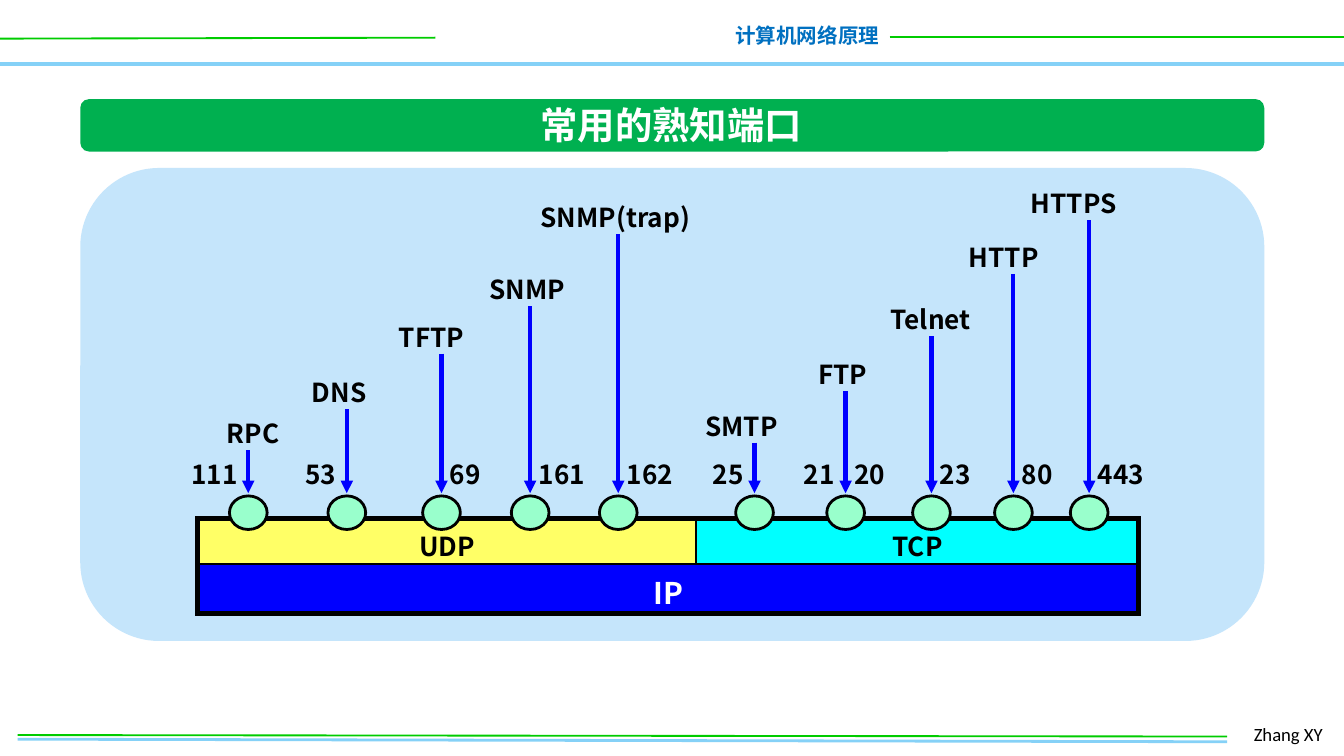
"""Build the slide of well-known ports above the UDP, TCP and IP layers."""
from collections import namedtuple

from lxml import etree
from pptx import Presentation
from pptx import util as u
from pptx.dml import color
from pptx.enum import shapes, text
from pptx.oxml import ns

Pt = u.Pt
COLORS = {
    "black": "000000", "white": "FFFFFF", "blue": "0000FF", "sky": "85D1F7",
    "lime": "00CC00", "header": "0070C0", "banner": "00B050", "panel": "C5E5FB",
    "mint": "99FFCC", "yellow": "FFFF66", "cyan": "00FFFF",
}
RGB = {name: color.RGBColor.from_string(value) for name, value in COLORS.items()}
CJK = "Noto Sans CJK SC"
LEFT, CENTER, RIGHT = text.PP_ALIGN.LEFT, text.PP_ALIGN.CENTER, text.PP_ALIGN.RIGHT
Style = namedtuple("Style", "font ink align wrap")
STYLES = {
    "header": Style({"size": Pt(11), "name": CJK, "bold": True}, "header", RIGHT, False),
    "title": Style({"size": Pt(20), "name": "Calibri", "bold": True}, "white", CENTER, False),
    "author": Style({"size": Pt(10), "name": "Calibri", "bold": False}, "black", LEFT, True),
    "label": Style({"size": Pt(14), "name": CJK, "bold": True}, "black", LEFT, True),
    "layer": Style({"size": Pt(14), "name": CJK, "bold": True}, "black", CENTER, True),
    "base": Style({"size": Pt(16), "name": CJK, "bold": True}, "white", CENTER, True),
}

PAGE_WIDTH, PAGE_HEIGHT = 720, 405
PANEL_LEFT, PANEL_WIDTH = 43, 634.3
TABLE_LEFT, TABLE_TOP = 106, 278
COLUMN_WIDTHS, ROW_HEIGHTS = (267, 237), (24, 26.5)
OUTER_BORDER, INNER_BORDER = 3, 1.5
CIRCLE_WIDTH, CIRCLE_HEIGHT = 20.2, 18
CIRCLE_TOP = TABLE_TOP - 12.3
ARROW_TIP = CIRCLE_TOP - 1.5
LABEL_HEIGHT, LABEL_TO_ARROW = 24.5, 21
NUMBER_TOP, NUMBER_WIDTH, DIGIT_WIDTH = 241.9, 50, 8.2

Port = namedtuple("Port", "name center label_left label_top before after")
PORTS = [
    Port("RPC", 133, 114.5, 220.3, "111", ""),
    Port("DNS", 185.8, 160, 198.3, "53", ""),
    Port("TFTP", 236.5, 206.6, 168.5, "", "69"),
    Port("SNMP", 284, 255.2, 143, "", "161"),
    Port("SNMP(trap)", 331.2, 282.5, 104.6, "", "162"),
    Port("SMTP", 404.2, 370.8, 216.2, "25", ""),
    Port("FTP", 453, 431.3, 188.5, "21", "20"),
    Port("Telnet", 499, 470, 159.2, "", "23"),
    Port("HTTP", 542.9, 511.9, 125.8, "", "80"),
    Port("HTTPS", 583.5, 545, 97, "", "443"),
]


def write(frame, words, style_name):
    style = STYLES[style_name]
    frame.word_wrap = style.wrap
    para = frame.paragraphs[0]
    para.alignment = style.align
    span = para.add_run()
    span.text = words
    for key, value in style.font.items():
        setattr(span.font, key, value)
    span.font.color.rgb = RGB[style.ink]
    etree.SubElement(span.font._element, ns.qn("a:ea"), typeface=CJK)


def draw_line(start, end, ink, width):
    points = [Pt(value) for value in (*start, *end)]
    line = page.shapes.add_connector(shapes.MSO_CONNECTOR.STRAIGHT, *points)
    line.line.color.rgb = RGB[ink]
    line.line.width = Pt(width)
    etree.SubElement(line._element.spPr, ns.qn("a:effectLst"))
    return line


deck = Presentation()
deck.slide_width, deck.slide_height = Pt(PAGE_WIDTH), Pt(PAGE_HEIGHT)
page = deck.slides.add_slide(deck.slide_layouts[6])

for start, end, ink, width in [
    ((0, 34.3), (PAGE_WIDTH, 34.3), "sky", 2),
    ((0, 20.7), (233.3, 20.2), "lime", 1),
    ((476.6, 19.7), (PAGE_WIDTH, 19.7), "lime", 1),
    ((9.4, 396), (657.4, 397.4), "sky", 1.5),
    ((9.4, 393.8), (657.4, 394.6), "lime", 1),
]:
    draw_line(start, end, ink, width)

for top, height, fill in [(53.1, 28.1, "banner"), (90, 253.4, "panel")]:
    panel = page.shapes.add_shape(
        shapes.MSO_SHAPE.ROUNDED_RECTANGLE,
        Pt(PANEL_LEFT), Pt(top), Pt(PANEL_WIDTH), Pt(height))
    panel.shadow.inherit = False
    panel.fill.solid()
    panel.fill.fore_color.rgb = RGB[fill]
    panel.line.fill.background()

table = page.shapes.add_table(
    2, 2, Pt(TABLE_LEFT), Pt(TABLE_TOP),
    Pt(sum(COLUMN_WIDTHS)), Pt(sum(ROW_HEIGHTS))).table
table.first_row = table.horz_banding = False
for column, width in zip(table.columns, COLUMN_WIDTHS):
    column.width = Pt(width)
for row, height in zip(table.rows, ROW_HEIGHTS):
    row.height = Pt(height)
table.cell(1, 0).merge(table.cell(1, 1))

for row, column, words, style_name, fill in [
    (0, 0, "UDP", "layer", "yellow"),
    (0, 1, "TCP", "layer", "cyan"),
    (1, 0, "IP", "base", "blue"),
]:
    cell = table.cell(row, column)
    write(cell.text_frame, words, style_name)
    cell.fill.solid()
    cell.fill.fore_color.rgb = RGB[fill]
    outer_sides = {
        "L": column == 0,
        "R": column == 1 or cell.is_merge_origin,
        "T": row == 0,
        "B": row == 1,
    }
    properties = cell._tc.get_or_add_tcPr()
    for index, (side, is_outer) in enumerate(outer_sides.items()):
        width = OUTER_BORDER if is_outer else INNER_BORDER
        edge = etree.Element(ns.qn(f"a:ln{side}"), w=str(Pt(width)))
        paint = etree.SubElement(edge, ns.qn("a:solidFill"))
        etree.SubElement(paint, ns.qn("a:srgbClr"), val=COLORS["black"])
        properties.insert(index, edge)
for cell in table.iter_cells():
    cell.margin_left = cell.margin_right = Pt(7.9)
    cell.margin_top, cell.margin_bottom = Pt(3.6), Pt(0)

captions = [
    ("计算机网络原理", "header", 386, 8.6, 92.2, 20.9),
    ("Zhang XY", "author", 664.6, 383.8, 53.3, 19.4),
    ("常用的熟知端口", "title", 281.5, 51.1, 156.2, 31.7),
]
for port in PORTS:
    circle = page.shapes.add_shape(
        shapes.MSO_SHAPE.OVAL, Pt(port.center - CIRCLE_WIDTH / 2), Pt(CIRCLE_TOP),
        Pt(CIRCLE_WIDTH), Pt(CIRCLE_HEIGHT))
    circle.shadow.inherit = False
    circle.fill.solid()
    circle.fill.fore_color.rgb = RGB["mint"]
    circle.line.color.rgb = RGB["black"]
    circle.line.width = Pt(1.5)

    arrow_top = port.label_top + LABEL_TO_ARROW
    arrow = draw_line((port.center, arrow_top), (port.center, ARROW_TIP), "blue", 2.25)
    etree.SubElement(arrow.line._get_or_add_ln(), ns.qn("a:tailEnd"), type="triangle")

    label_width = 50 + 7.5 * len(port.name)
    captions.append(
        (port.name, "label", port.label_left, port.label_top, label_width, LABEL_HEIGHT))
    before_left = port.center - 13 - DIGIT_WIDTH * len(port.before)
    after_left = port.center - 2.5
    for number, left in [(port.before, before_left), (port.after, after_left)]:
        if number:
            captions.append(
                (number, "label", left, NUMBER_TOP, NUMBER_WIDTH, LABEL_HEIGHT))

for words, style_name, *bounds in captions:
    box = page.shapes.add_textbox(*[Pt(value) for value in bounds])
    write(box.text_frame, words, style_name)

deck.save("out.pptx")
